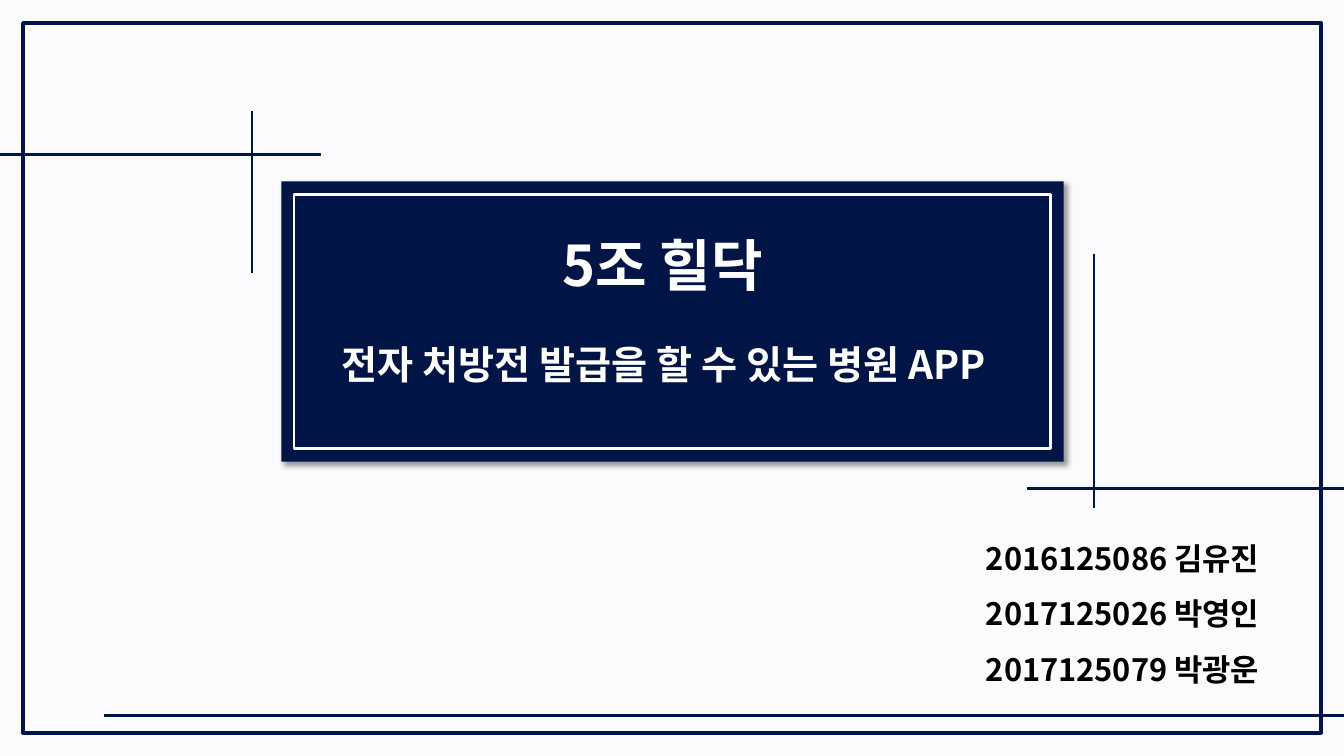
from lxml.etree import SubElement
from pptx import Presentation
from pptx.dml.color import RGBColor
from pptx.enum.shapes import MSO_CONNECTOR, MSO_SHAPE
from pptx.enum.text import MSO_ANCHOR, MSO_AUTO_SIZE, PP_ALIGN
from pptx.oxml import parse_xml
from pptx.oxml.ns import nsdecls, qn
from pptx.util import Inches, Pt

FONT = "Noto Sans CJK KR"
COLORS = {"paper": "FBFBFD", "navy": "001545", "white": "FFFFFF", "black": "000000"}

TEAM = "5조 힐닥"
TOPIC = "전자 처방전 발급을 할 수 있는 병원 APP"
MEMBERS = ["2016125086 김유진", "2017125026 박영인", "2017125079 박광운"]

SLIDE_W, SLIDE_H = 13.33, 7.5
MARGIN = 0.23
PANEL = (2.79, 1.8, 7.76, 2.78)
PANEL_INSET = 0.13
# (y, from x, to x) and (x, from y, to y)
HORIZONTAL_RULES = [(1.53, 3.18, -0.02), (4.85, SLIDE_W, 10.19), (7.1, SLIDE_W, 1.03)]
VERTICAL_RULES = [(2.5, 2.71, 1.1), (10.85, 5.04, 2.52)]


def color(name):
    return RGBColor.from_string(COLORS[name])


def inset(box, gap):
    left, top, width, height = box
    return left + gap, top + gap, width - 2 * gap, height - 2 * gap


def add_rect(slide, box, fill=None, line=None, weight=0):
    rect = slide.shapes.add_shape(MSO_SHAPE.RECTANGLE, *map(Inches, box))
    rect.shadow.inherit = False
    if fill:
        rect.fill.solid()
        rect.fill.fore_color.rgb = color(fill)
    else:
        rect.fill.background()
    if line:
        rect.line.color.rgb = color(line)
        rect.line.width = Pt(weight)
    else:
        rect.line.fill.background()
    return rect


def add_drop_shadow(shape):
    effects = shape.element.spPr.find(qn("a:effectLst"))
    effects.append(parse_xml(
        f'<a:outerShdw {nsdecls("a")} blurRad="{Pt(4)}" dist="{Pt(3)}" dir="2700000" '
        f'algn="tl" rotWithShape="0"><a:srgbClr val="{COLORS["black"]}">'
        '<a:alpha val="40000"/></a:srgbClr></a:outerShdw>'))


def add_rule(slide, start, end):
    rule = slide.shapes.add_connector(
        MSO_CONNECTOR.STRAIGHT, *map(Inches, start + end))
    rule.line.color.rgb = color("navy")
    rule.line.width = Pt(2)
    SubElement(rule.element.spPr, qn("a:effectLst"))


def write(shape, lines, size, ink, spacing=1.0):
    frame = shape.text_frame
    frame.word_wrap = True
    frame.auto_size = MSO_AUTO_SIZE.SHAPE_TO_FIT_TEXT
    frame.vertical_anchor = MSO_ANCHOR.TOP
    for number, line in enumerate(lines):
        paragraph = frame.add_paragraph() if number else frame.paragraphs[0]
        paragraph.alignment = PP_ALIGN.LEFT
        paragraph.line_spacing = spacing
        run = paragraph.add_run()
        run.text = line
        run.font.size = Pt(size)
        run.font.bold = True
        run.font.color.rgb = color(ink)
        run.font.name = FONT
        SubElement(run.font._element, qn("a:ea"), typeface=FONT)


def place(shape, box):
    shape.left, shape.top, shape.width, shape.height = map(Inches, box)


def main():
    deck = Presentation()
    deck.slide_width, deck.slide_height = Inches(SLIDE_W), Inches(SLIDE_H)
    slide = deck.slides.add_slide(deck.slide_layouts[5])
    slide.background.fill.solid()
    slide.background.fill.fore_color.rgb = color("paper")

    add_rect(slide, inset((0, 0, SLIDE_W, SLIDE_H), MARGIN), line="navy", weight=3)
    panel = add_rect(slide, PANEL, fill="navy")
    add_drop_shadow(panel)
    for y, x1, x2 in HORIZONTAL_RULES:
        add_rule(slide, (x1, y), (x2, y))
    for x, y1, y2 in VERTICAL_RULES:
        add_rule(slide, (x, y1), (x, y2))
    add_rect(slide, inset(PANEL, PANEL_INSET), line="white", weight=1.5)

    topic = slide.shapes.add_textbox(*map(Inches, (3.29, 3.33, 7.43, 0.57)))
    write(topic, [TOPIC], size=28, ink="white")
    members = slide.shapes.add_textbox(*map(Inches, (9.68, 5.12, 3.42, 2.07)))
    write(members, MEMBERS, size=22, ink="black", spacing=1.5)

    title = slide.shapes.title
    place(title, (5.48, 2.24, 2.7, 0.77))
    write(title, [TEAM], size=40, ink="white")
    # The title must lie in front of the navy panel
    title.element.getparent().append(title.element)

    deck.save("out.pptx")


if __name__ == "__main__":
    main()
